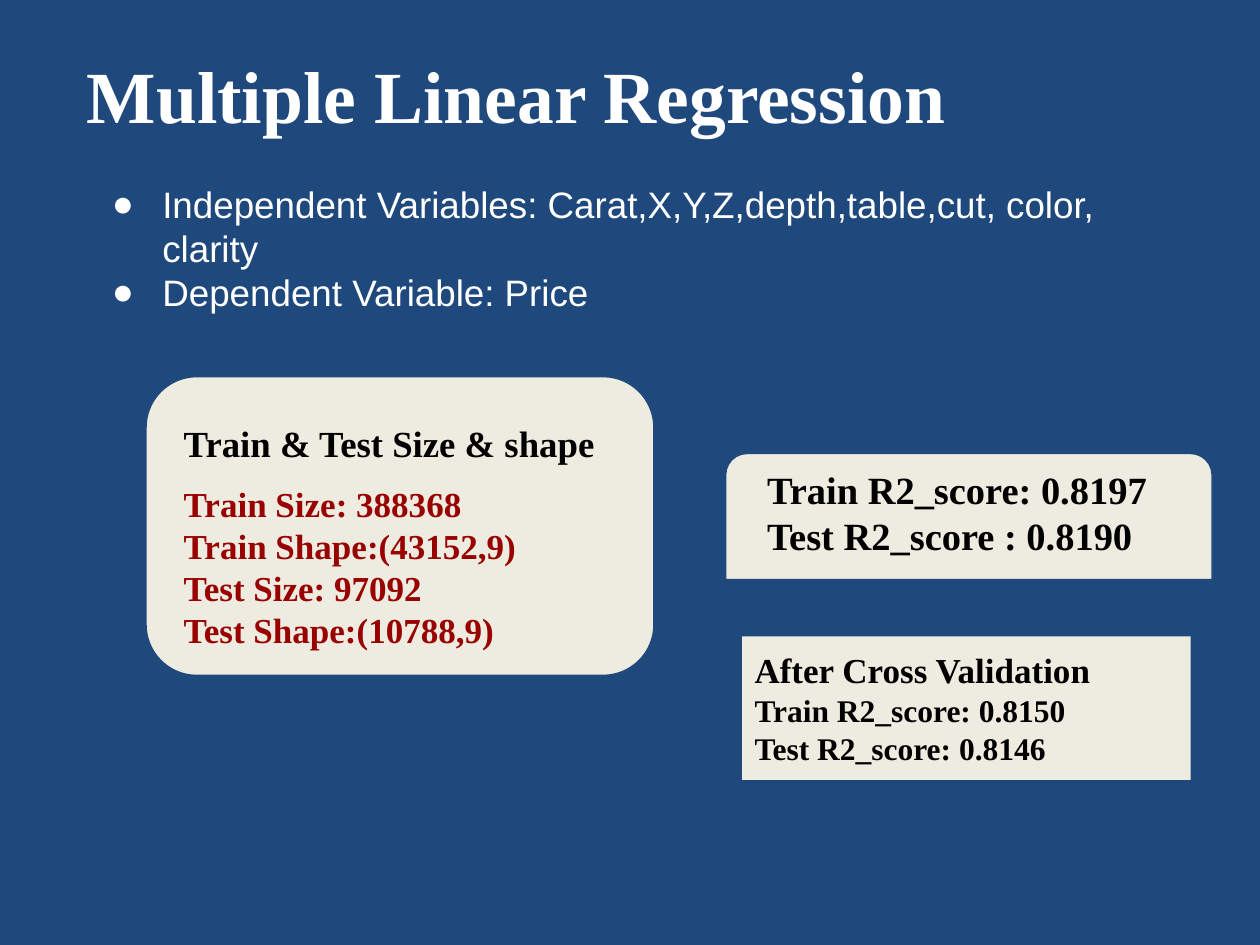
from lxml.etree import SubElement
from pptx import Presentation
from pptx.dml.color import RGBColor
from pptx.enum.shapes import MSO_SHAPE as Shape
from pptx.enum.text import MSO_ANCHOR as Anchor, PP_ALIGN as Align
from pptx.oxml.ns import qn
from pptx.util import Inches, Pt

COLORS = {"navy": "1F497D", "cream": "EEECE1", "white": "FFFFFF",
          "black": "000000", "red": "990000"}
SERIF, SANS = "Times New Roman", "Arial"
COLUMNS, ROWS = 100, 75


def rgb(name):
    return RGBColor.from_string(COLORS[name])


class SlideBuilder:
    def __init__(self, deck):
        self.column = deck.slide_width / COLUMNS
        self.row = deck.slide_height / ROWS
        self.slide = deck.slides.add_slide(deck.slide_layouts[6])
        background = self.slide.background.fill
        background.solid()
        background.fore_color.rgb = rgb("navy")

    def place(self, left, top, width, height):
        return (round(left * self.column), round(top * self.row),
                round(width * self.column), round(height * self.row))

    def panel(self, kind, area, corners=(), outlined=True):
        panel = self.slide.shapes.add_shape(kind, *self.place(*area))
        panel.shadow.inherit = False
        panel.fill.solid()
        panel.fill.fore_color.rgb = rgb("cream")
        if outlined:
            panel.line.color.rgb = rgb("navy")
            panel.line.width = Pt(0.75)
        else:
            panel.line.fill.background()
        for index, corner in enumerate(corners):
            panel.adjustments[index] = corner
        return panel

    def text(self, area, lines, size, **style):
        box = self.slide.shapes.add_textbox(*self.place(*area))
        self.add_lines(box, [(line, size) for line in lines], **style)

    def add_lines(self, holder, lines, color="black", font=SERIF, bold=True,
                  inset=0.1, bullet=None):
        frame = holder.text_frame
        frame.word_wrap = True
        frame.vertical_anchor = Anchor.TOP
        frame.margin_left = frame.margin_right = Inches(inset)
        frame.margin_top = frame.margin_bottom = Inches(inset)
        for index, (line, size) in enumerate(lines):
            paragraph = frame.add_paragraph() if index else frame.paragraphs[0]
            paragraph.alignment = Align.LEFT
            if bullet:
                self.mark(paragraph, bullet, color)
            run = paragraph.add_run()
            run.text = line
            run.font.name, run.font.size, run.font.bold = font, Pt(size), bold
            run.font.color.rgb = rgb(color)

    def mark(self, paragraph, bullet, color):
        properties = paragraph._p.get_or_add_pPr()
        properties.set("marL", str(Inches(0.5)))
        properties.set("indent", str(Inches(-0.4)))
        tint = SubElement(properties, qn("a:buClr"))
        SubElement(tint, qn("a:srgbClr"), val=COLORS[color])
        SubElement(properties, qn("a:buFont"), typeface=SANS)
        SubElement(properties, qn("a:buChar"), char=bullet)


def main():
    deck = Presentation()
    deck.slide_width, deck.slide_height = Inches(10), Inches(7.5)
    page = SlideBuilder(deck)

    page.text((6.9, 4, 79.7, 7.1), ["Multiple Linear Regression"], 42,
              color="white", inset=0)
    page.text((6.9, 13.4, 86.3, 12.6),
              ["Independent Variables: Carat,X,Y,Z,depth,table,cut, color, clarity",
               "Dependent Variable: Price"],
              21, color="white", font=SANS, bold=False, bullet="●")

    page.panel(Shape.ROUND_2_SAME_RECTANGLE, (57.6, 36, 38.6, 10), (0.17, 0))
    page.text((59.9, 36, 33.9, 9.4),
              ["Train R2_score: 0.8197", "Test R2_score : 0.8190"], 22)

    page.panel(Shape.ROUNDED_RECTANGLE, (11.6, 29.9, 40.3, 23.7), (0.17,))
    page.text((13.6, 32.4, 35.8, 5.6), ["Train & Test Size & shape"], 21)
    page.text((13.6, 37.3, 28.6, 15.5),
              ["Train Size: 388368", "Train Shape:(43152,9)",
               "Test Size: 97092", "Test Shape:(10788,9)"], 20, color="red")

    validation = page.panel(Shape.RECTANGLE, (58.9, 50.5, 35.6, 11.4),
                            outlined=False)
    page.add_lines(validation, [("After Cross Validation", 20),
                                ("Train R2_score: 0.8150", 18),
                                ("Test R2_score: 0.8146", 18)])
    deck.save("out.pptx")


if __name__ == "__main__":
    main()
